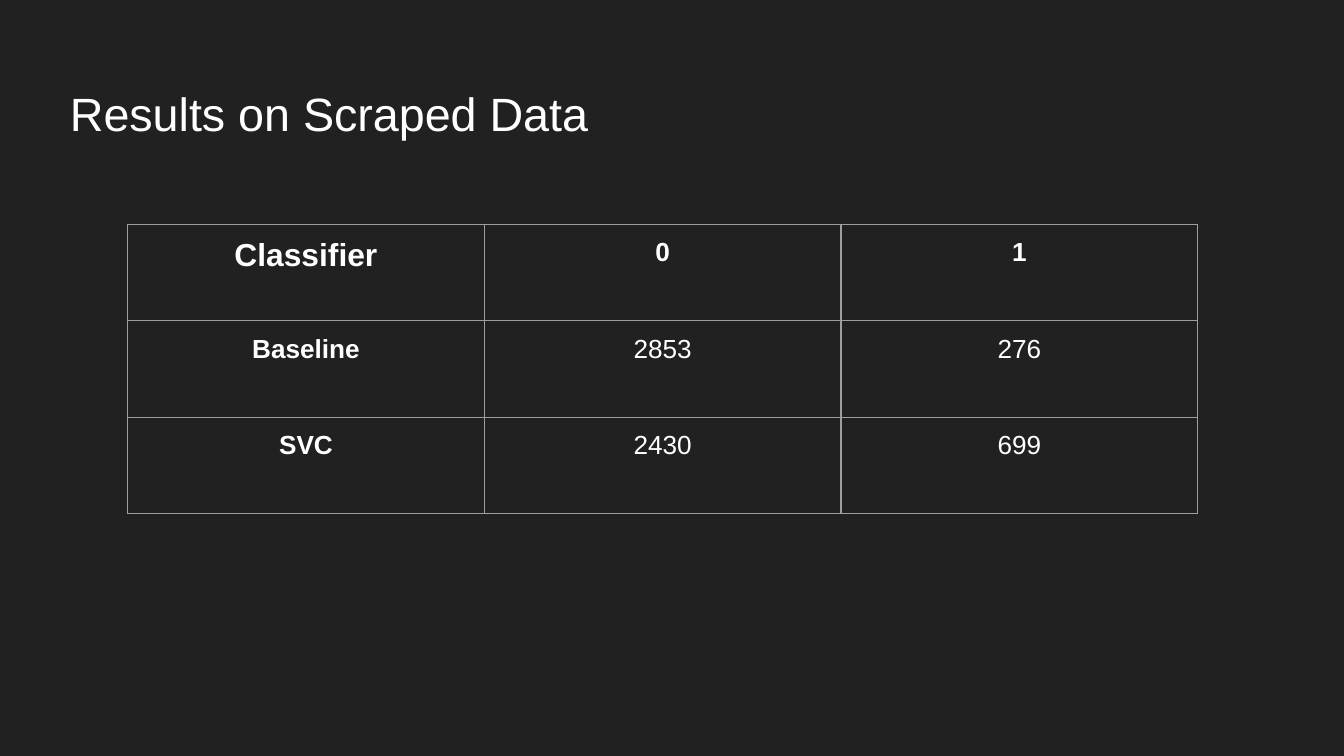
from lxml import etree
from pptx import Presentation
from pptx.dml.color import RGBColor
from pptx.enum.text import MSO_ANCHOR, PP_ALIGN
from pptx.oxml.ns import qn
from pptx.util import Pt

TOP = MSO_ANCHOR.TOP
LEFT, CENTER = PP_ALIGN.LEFT, PP_ALIGN.CENTER

FONT = "Arial"
BACKGROUND, TEXT, BORDER = "212121", "FFFFFF", "9E9E9E"
INSET = Pt(7.2)
COLUMN_WIDTH, ROW_HEIGHT = 191.1, 51.65
RESULTS = [
    ["Classifier", "0", "1"],
    ["Baseline", "2853", "276"],
    ["SVC", "2430", "699"],
]


def color(value):
    return RGBColor.from_string(value)


def write_text(text_frame, text, size=14, bold=False, align=LEFT):
    paragraph = text_frame.paragraphs[0]
    paragraph.alignment = align
    run = paragraph.add_run()
    run.text = text
    run.font.name = FONT
    run.font.size = Pt(size)
    run.font.bold = bold
    run.font.color.rgb = color(TEXT)


def set_insets(target):
    """Give a text frame or a table cell the same inset on every side."""
    target.margin_left = target.margin_right = INSET
    target.margin_top = target.margin_bottom = INSET


def add_borders(cell, width=0.75):
    properties = cell._tc.get_or_add_tcPr()
    for position, side in enumerate(("lnL", "lnR", "lnT", "lnB")):
        line = etree.Element(qn(f"a:{side}"), w=str(Pt(width)))
        fill = etree.SubElement(line, qn("a:solidFill"))
        etree.SubElement(fill, qn("a:srgbClr"), val=BORDER)
        properties.insert(position, line)


def add_title(slide, text):
    title = slide.shapes.title
    title.left, title.top = Pt(30.25), Pt(38.2)
    title.width, title.height = Pt(630.7), Pt(44.6)
    text_frame = title.text_frame
    text_frame.word_wrap = True
    text_frame.vertical_anchor = TOP
    set_insets(text_frame)
    write_text(text_frame, text, size=25)


def add_results_table(slide, rows):
    row_count, column_count = len(rows), len(rows[0])
    table = slide.shapes.add_table(
        row_count, column_count, Pt(68.4), Pt(120.25),
        Pt(COLUMN_WIDTH * column_count), Pt(ROW_HEIGHT * row_count)).table
    table.first_row = table.horz_banding = False
    for row_index, row in enumerate(rows):
        for column_index, text in enumerate(row):
            cell = table.cell(row_index, column_index)
            cell.fill.background()
            cell.vertical_anchor = TOP
            set_insets(cell)
            is_corner = row_index == column_index == 0
            is_header = row_index == 0 or column_index == 0
            write_text(cell.text_frame, text, size=17 if is_corner else 14,
                       bold=is_header, align=CENTER)
            add_borders(cell)


def main():
    presentation = Presentation()
    presentation.slide_width, presentation.slide_height = Pt(720), Pt(405)
    slide = presentation.slides.add_slide(
        presentation.slide_layouts.get_by_name("Title Only"))
    slide.background.fill.solid()
    slide.background.fill.fore_color.rgb = color(BACKGROUND)
    add_title(slide, "Results on Scraped Data")
    add_results_table(slide, RESULTS)
    presentation.save("out.pptx")


if __name__ == "__main__":
    main()
